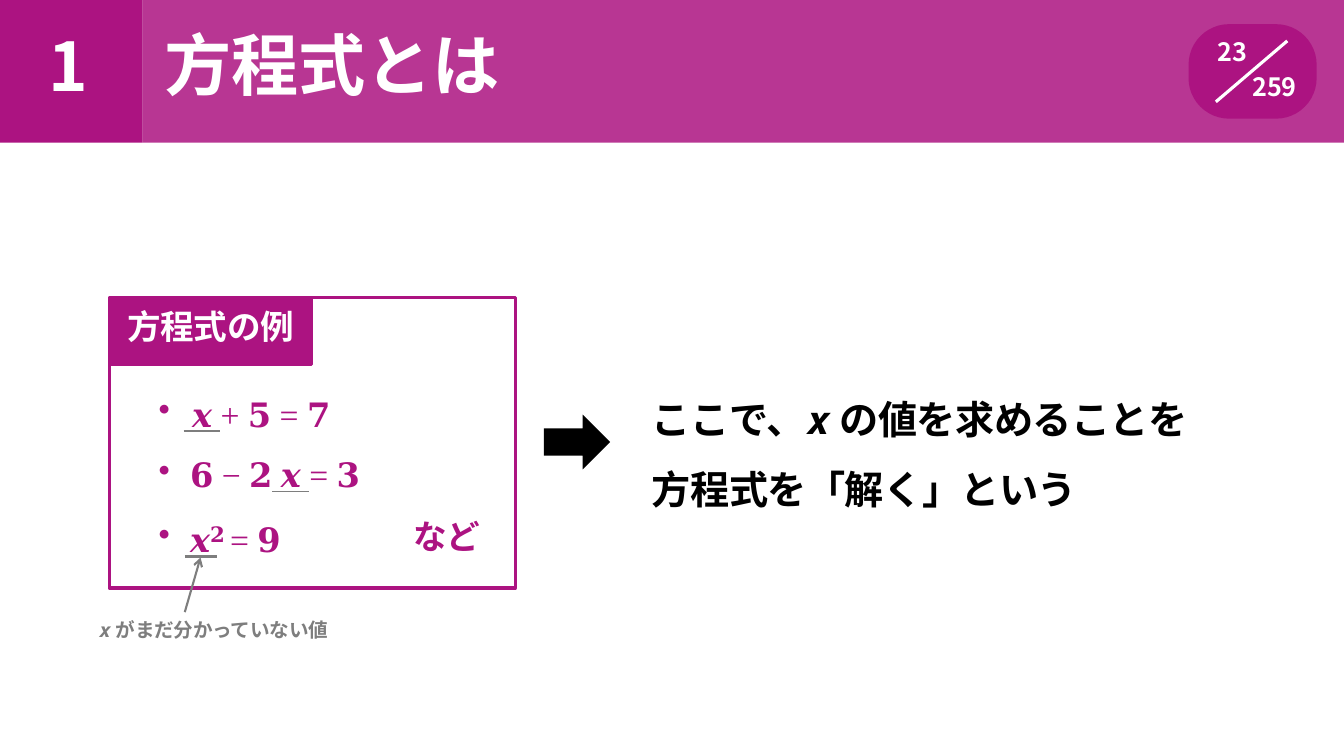
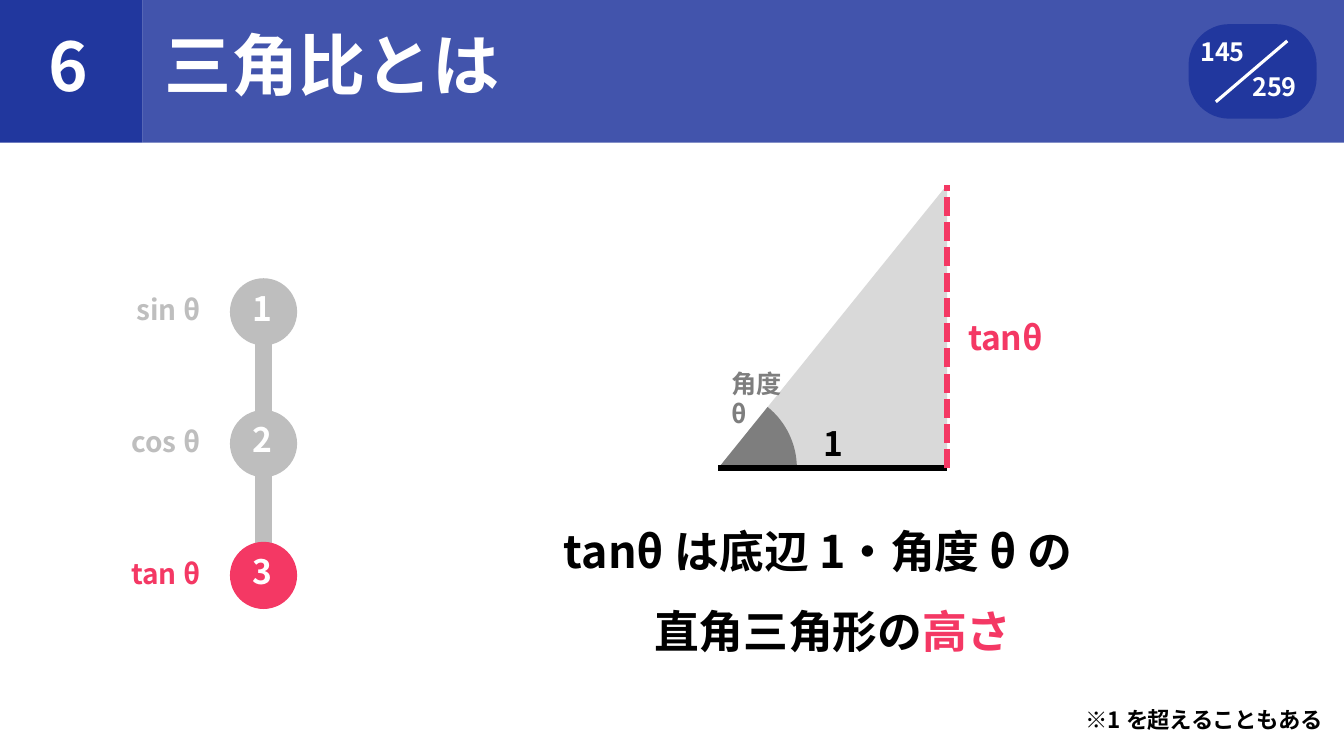
from dataclasses import dataclass
from math import atan2, cos, sin
from typing import NamedTuple, Optional

from lxml.etree import SubElement
from pptx import Presentation
from pptx.dml.color import RGBColor
from pptx.enum.dml import MSO_LINE
from pptx.enum.shapes import MSO_CONNECTOR, MSO_SHAPE
from pptx.enum.text import MSO_ANCHOR, MSO_AUTO_SIZE, PP_ALIGN
from pptx.oxml.ns import qn
from pptx.util import Inches, Pt

# Grid of square cells: 128 columns by 72 rows
COLUMNS, ROWS = 128, 72
CELL = Inches(7.5) / ROWS
HEADER = 13.6

COLORS = {
    "magenta": "AC1381", "blue": "21379E", "red": "F43864", "white": "FFFFFF",
    "black": "000000", "gray": "7E7E7E", "silver": "BEBEBE", "pale": "D9D9D9",
}
SANS, SERIF = "Noto Sans CJK JP", "Times New Roman"


class Box(NamedTuple):
    left: float
    top: float
    width: float
    height: float


@dataclass(frozen=True)
class Run:
    text: str
    spacing: float = 0
    color: Optional[str] = None
    font: Optional[str] = None
    size: Optional[float] = None
    bold: Optional[bool] = None
    underline: bool = False
    raised: int = 0


@dataclass(frozen=True)
class Line:
    runs: tuple
    indent: float = 0
    first: float = 0
    before: float = 0
    bullet: str = ""


@dataclass(frozen=True)
class Header:
    number: str
    title: str
    page: str
    color: str


@dataclass(frozen=True)
class Step:
    label: str
    color: str


def cells(value: float) -> int:
    return round(value * CELL)


def rgb(name: str) -> RGBColor:
    return RGBColor.from_string(COLORS[name])


# Text
def format_run(run, part: Run, size: float, color: str, font: str, bold: bool) -> None:
    properties = run._r.get_or_add_rPr()
    properties.set("spc", str(round(part.spacing * 100)))
    if part.raised:
        properties.set("baseline", str(part.raised * 1000))
    if part.underline:
        run.font.underline = True
        fill = SubElement(SubElement(properties, qn("a:uFill")), qn("a:solidFill"))
        SubElement(fill, qn("a:srgbClr")).set("val", COLORS["gray"])
    run.font.size = Pt(part.size or size)
    run.font.bold = bold if part.bold is None else part.bold
    run.font.color.rgb = rgb(part.color or color)
    run.font.name = part.font or font
    SubElement(properties, qn("a:ea")).set("typeface", SANS)


def write(shape, *lines, size: float = 24, color: str = "black", font: str = SANS,
          bold: bool = True, align=PP_ALIGN.LEFT, anchor=MSO_ANCHOR.TOP,
          spacing: float = 0, leading: float = 1.0, insets=(0, 0, 0, 0)) -> None:
    """Fill a shape with lines, each a plain string or a Line of runs."""
    frame = shape.text_frame
    frame.word_wrap = True
    frame.auto_size = MSO_AUTO_SIZE.NONE
    frame.vertical_anchor = anchor
    (frame.margin_left, frame.margin_top,
     frame.margin_right, frame.margin_bottom) = map(cells, insets)
    for index, content in enumerate(lines):
        line = Line((Run(content, spacing),)) if isinstance(content, str) else content
        paragraph = frame.add_paragraph() if index else frame.paragraphs[0]
        properties = paragraph._p.get_or_add_pPr()
        properties.set("marL", str(cells(line.indent)))
        properties.set("indent", str(cells(line.first)))
        if line.bullet:
            SubElement(properties, qn("a:buChar")).set("char", line.bullet)
        paragraph.alignment = align
        paragraph.line_spacing = leading
        paragraph.space_before = Pt(line.before)
        for part in line.runs:
            run = paragraph.add_run()
            run.text = part.text
            format_run(run, part, size, color, font, bold)


def add_text(slide, box: Box, *lines, **text_format):
    shape = slide.shapes.add_textbox(*map(cells, box))
    write(shape, *lines, **text_format)
    return shape


# Shapes
def paint(shape, fill: Optional[str], line: Optional[str] = None) -> None:
    shape.shadow.inherit = False
    if fill:
        shape.fill.solid()
        shape.fill.fore_color.rgb = rgb(fill)
    else:
        shape.fill.background()
    if line:
        shape.line.color.rgb = rgb(line)
        shape.line.width = Pt(2.25)
    else:
        shape.line.fill.background()


def add_block(slide, kind, box: Box, fill: Optional[str], line: Optional[str] = None):
    shape = slide.shapes.add_shape(kind, *map(cells, box))
    paint(shape, fill, line)
    return shape


def add_outline(slide, points, fill: str) -> None:
    builder = slide.shapes.build_freeform(*map(cells, points[0]))
    builder.add_line_segments([tuple(map(cells, point)) for point in points[1:]])
    paint(builder.convert_to_shape(), fill)


def add_line(slide, start, end, color: str, width: float, dash=None, arrow: bool = False) -> None:
    connector = slide.shapes.add_connector(
        MSO_CONNECTOR.STRAIGHT, *map(cells, (*start, *end)))
    connector.line.color.rgb = rgb(color)
    connector.line.width = Pt(width)
    if dash:
        connector.line.dash_style = dash
    if arrow:
        SubElement(connector.line._get_or_add_ln(), qn("a:tailEnd")).set("type", "arrow")
    SubElement(connector._element.spPr, qn("a:effectLst"))


# Shared header: number square, tinted band, title and page badge
def add_slide(presentation, header: Header):
    slide = presentation.slides.add_slide(presentation.slide_layouts[5])
    add_block(slide, MSO_SHAPE.RECTANGLE, Box(0, 0, HEADER, HEADER), header.color)
    band = add_block(slide, MSO_SHAPE.RECTANGLE,
                     Box(HEADER, 0, COLUMNS - HEADER, HEADER), header.color)
    tint = band._element.spPr.find(qn("a:solidFill")).find(qn("a:srgbClr"))
    SubElement(tint, qn("a:alpha")).set("val", "85000")
    add_text(slide, Box(3.5, 2.3, 6, 8), header.number, size=48, color="white",
             align=PP_ALIGN.CENTER)

    title = slide.shapes.title
    title.left, title.top, title.width, title.height = map(cells, Box(15.7, 2.2, 60, 8))
    write(title, header.title, size=48, color="white", spacing=-0.1)
    slide.shapes._spTree.append(title._element)

    badge = add_block(slide, MSO_SHAPE.ROUNDED_RECTANGLE, Box(113.2, 2.3, 12.2, 9), header.color)
    badge.adjustments[0] = 0.43
    add_line(slide, (115.8, 9.7), (122.6, 3.9), "white", 2.25)
    total_left, digit = 119.3, 1.65
    left = total_left - digit * len(header.page)
    add_text(slide, Box(left, 3.5, 124.3 - left, 7),
             Line((Run(header.page, -0.2),)),
             Line((Run("259", -0.2),), indent=total_left - left, before=3.3),
             size=18, color="white")
    return slide


def build_equation(presentation) -> None:
    slide = add_slide(presentation, Header("1", "方程式とは", "23", "magenta"))

    # Framed examples
    frame = Box(10.4, 28.3, 38.7, 27.7)
    add_block(slide, MSO_SHAPE.RECTANGLE, frame, None, "magenta")
    label = add_block(slide, MSO_SHAPE.RECTANGLE, Box(frame.left, frame.top, 19.3, 6.4),
                      "magenta", "magenta")
    write(label, "方程式の例", color="white", spacing=-0.1, insets=(1.7, 0.8, 0, 0))
    add_text(
        slide, Box(14.8, 37.5, 22, 17),
        Line((Run(" ", -1.9, underline=True), Run("𝒙", underline=True),
              Run(" ", -0.8, underline=True), Run("+ 𝟓 = "), Run("𝟕", -0.5)),
             indent=2.7, first=-2.4, bullet="•"),
        Line((Run("𝟔 − "), Run("𝟐", -4.5), Run(" ", -1.8, underline=True),
              Run("𝒙", underline=True), Run(" ", -0.9, underline=True),
              Run("= "), Run("𝟑", -0.5)),
             indent=3.3, first=-3, before=14.4, bullet="•"),
        Line((Run("𝒙"), Run("𝟐 ", size=26.2, raised=29), Run("= "), Run("𝟗", -0.5)),
             indent=3.3, first=-3, before=15.5, bullet="•"),
        color="magenta", font=SERIF, bold=False)
    add_text(slide, Box(39.4, 49.1, 7, 4), "など", color="magenta", spacing=-0.2)

    # Conclusion
    add_block(slide, MSO_SHAPE.RIGHT_ARROW, Box(51.8, 39.5, 6.3, 5.2), "black")
    unknown = Run("𝒙 ", font=SERIF, bold=False)
    add_text(slide, Box(62, 35.5, 52, 13.5),
             Line((Run("ここで、", -0.3), unknown,
                   Run("の値を求めることを方程式を「解く」という", -0.4)), indent=0.1),
             size=28, leading=1.48)

    # Note on the unknown
    add_line(slide, (17.6, 53), (20.7, 53), "gray", 1.5)
    add_line(slide, (17.6, 58.3), (19.1, 53.1), "gray", 1.5, arrow=True)
    add_text(slide, Box(9.4, 58.8, 23, 2.5),
             Line((unknown, Run("がまだ分かっていない値", -0.2))), size=14, color="gray")


def build_tangent(presentation) -> None:
    slide = add_slide(presentation, Header("6", "三角比とは", "145", "blue"))

    # Steps
    steps = (Step("sin θ", "silver"), Step("cos θ", "silver"), Step("tan θ", "red"))
    center, first, pitch, diameter, bar = 25.1, 29.7, 12.55, 6.4, 1.6
    add_block(slide, MSO_SHAPE.RECTANGLE,
              Box(center - bar / 2, first, bar, pitch * (len(steps) - 1)), "silver")
    for index, step in enumerate(steps):
        middle = first + pitch * index
        circle = add_block(slide, MSO_SHAPE.OVAL,
                           Box(center - diameter / 2, middle - diameter / 2, diameter, diameter),
                           step.color)
        write(circle, str(index + 1), color="white", align=PP_ALIGN.CENTER,
              anchor=MSO_ANCHOR.MIDDLE, insets=(0, 0, 0.2, 0.8))
        add_text(slide, Box(9.1, middle - 1.8, 10, 3.5), step.label, size=20,
                 color=step.color, align=PP_ALIGN.RIGHT)

    # Triangle with its angle
    left, right, top, base = 68.4, 90.2, 17.6, 44.6
    add_outline(slide, [(left, base), (right, top), (right, base)], "pale")
    angle, radius, parts = atan2(base - top, right - left), 7.5, 16
    arc = [(left + radius * cos(angle * part / parts), base - radius * sin(angle * part / parts))
           for part in range(parts + 1)]
    add_outline(slide, [(left, base), *arc], "gray")
    add_line(slide, (left, base), (right, base), "black", 4.5)
    add_line(slide, (right, base), (right, top), "red", 4.5, dash=MSO_LINE.SQUARE_DOT)
    add_text(slide, Box(92.2, 30.2, 9, 4), "tanθ", color="red", spacing=-0.2)
    add_text(slide, Box(69.7, 35.1, 6, 6), "角度 θ", size=18, color="gray", spacing=-0.1)
    add_text(slide, Box(78.4, 40.3, 3, 4), "1")

    # Definition and footnote
    add_text(slide, Box(53.5, 47.3, 50.4, 16),
             Line((Run("tanθ"), Run(" は底辺 ", -0.1), Run("1"), Run("・角度 ", -0.1),
                   Run("θ"), Run(" の", -0.3), Run("直角三角形の", -0.1),
                   Run("高さ", -0.3, "red")), indent=8.8, first=-8.6),
             size=32, leading=1.5)
    add_text(slide, Box(86, 67.3, 40, 3),
             Line((Run("※1"), Run(" を超えることもある", -0.3))),
             size=16, align=PP_ALIGN.RIGHT)


def main() -> None:
    presentation = Presentation()
    presentation.slide_width = cells(COLUMNS)
    presentation.slide_height = cells(ROWS)
    build_equation(presentation)
    build_tangent(presentation)
    presentation.save("out.pptx")


if __name__ == "__main__":
    main()
